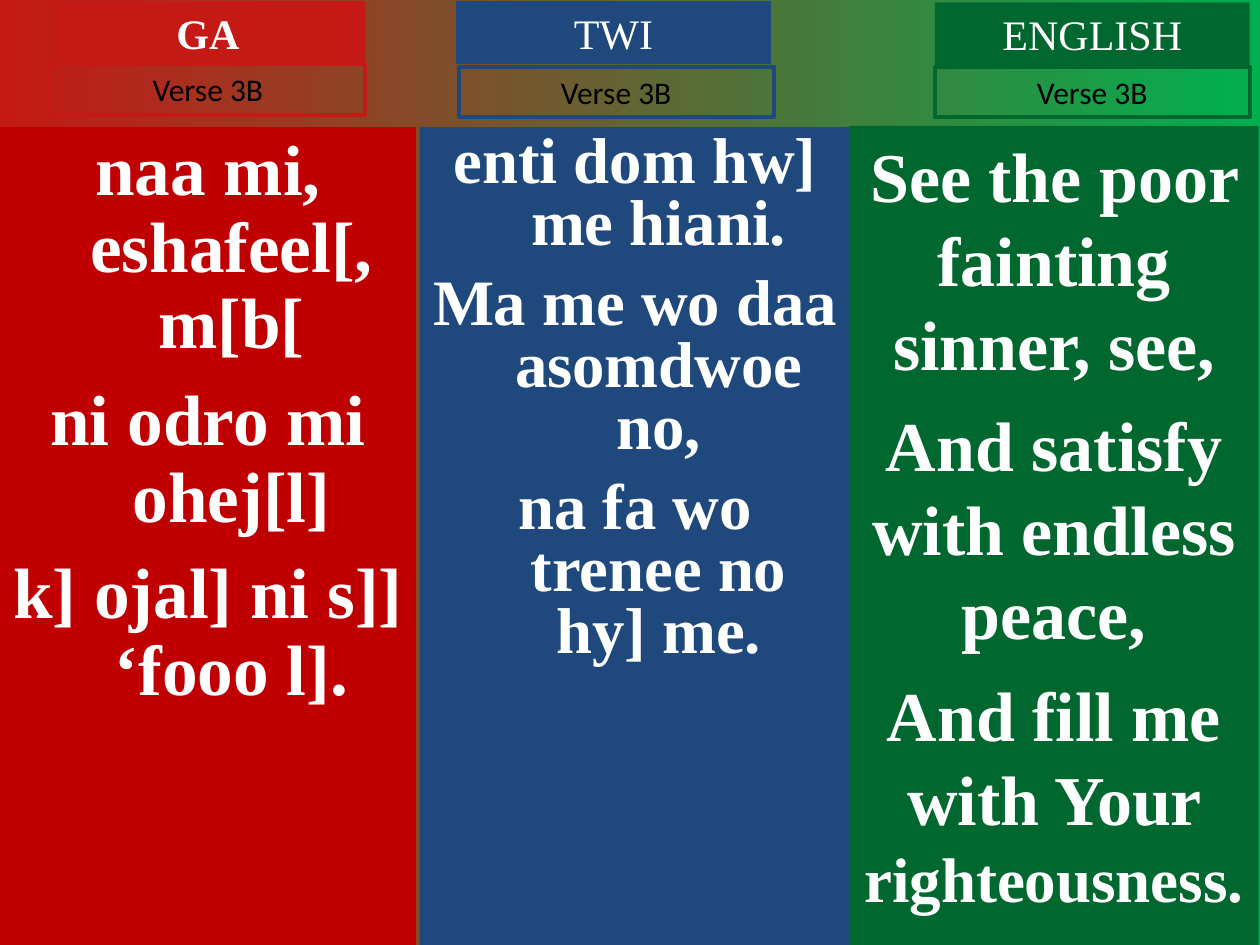
from pptx import Presentation
from pptx import util as u
from pptx.dml.color import RGBColor
from pptx.enum import shapes, text
from pptx.oxml.ns import qn
from lxml import etree

Pt = u.Pt
HUES = {"red": "C51915", "deep": "C00000", "blue": "1F497D", "green": "00682F",
        "lime": "00B050", "white": "FFFFFF", "black": "000000"}
SERIF, SANS = "Times New Roman", "Calibri"
VERSE = "Verse 3B"

# Each verse is a list of lines; each line is a list of (words, size).
COLS = [
    dict(name="GA", hue="red", back="deep", bold=True,
         head=(28.8, 0.7), tag=(28.8, 36.7), box=(0, 72.7, 237.6, 467.3),
         lead=0.9, gap=11, hang=27,
         verse=[[("naa mi, eshafeel[, m[b[", 40.7)],
                [("ni odro mi ohej[l]", 40.7)],
                [("k] ojal] ni s]] ‘fooo l].", 40.7)]]),
    dict(name="TWI", hue="blue", back="blue", bold=False,
         head=(260.6, 0.7), tag=(262.1, 38.2), box=(239.8, 72.7, 246.2, 467.3),
         lead=0.8, gap=10, hang=27,
         verse=[[("enti dom hw] me hiani.", 37)],
                [("Ma me wo daa asomdwoe no,", 37)],
                [("na fa wo trenee no hy] me.", 37)]]),
    dict(name="ENGLISH", hue="green", back="green", bold=False,
         head=(534.2, 1.4), tag=(534.2, 38.2), box=(485.3, 72, 234, 468),
         lead=1, gap=10, hang=0,
         verse=[[("See the poor fainting sinner, see,", 40)],
                [("And satisfy with endless peace,", 40)],
                [("And fill me with Your ", 40), ("righteousness.", 36)]]),
]
WIDE, HEAD, TAG = 180, 36, 28.8


def rgb(hue):
    return RGBColor.from_string(HUES[hue])


def write(shape, lines, font=SERIF, hue="white", bold=False, lead=1, gap=0,
          hang=0, anchor=text.MSO_ANCHOR.MIDDLE):
    frame = shape.text_frame
    frame.word_wrap = True
    frame.auto_size = text.MSO_AUTO_SIZE.NONE
    frame.vertical_anchor = anchor
    frame.margin_left = frame.margin_right = Pt(7.2)
    frame.margin_top = frame.margin_bottom = Pt(3.6)
    for i, line in enumerate(lines):
        para = frame.add_paragraph() if i else frame.paragraphs[0]
        props = para._p.get_or_add_pPr()
        props.set("marL", str(Pt(hang)))
        props.set("indent", str(-Pt(hang)))
        etree.SubElement(props, qn("a:buNone"))
        para.alignment = text.PP_ALIGN.CENTER
        para.line_spacing = lead
        para.space_before = Pt(gap if i else 0)
        for words, size in line:
            run = para.add_run()
            run.text = words
            run.font.name, run.font.size = font, Pt(size)
            run.font.bold, run.font.color.rgb = bold, rgb(hue)


def place(shape, left, top, wide, high):
    shape.left, shape.top = Pt(left), Pt(top)
    shape.width, shape.height = Pt(wide), Pt(high)


def panel(slide, area, fill=None, edge=None, holder=None):
    """Fill and place a placeholder, or a new rectangle if there is none."""
    shape = holder
    if shape is None:
        shape = slide.shapes.add_shape(shapes.MSO_SHAPE.RECTANGLE, 0, 0, 0, 0)
        shape.shadow.inherit = False
    place(shape, *area)
    if fill:
        shape.fill.solid()
        shape.fill.fore_color.rgb = rgb(fill)
    else:
        shape.fill.background()
    if edge:
        shape.line.color.rgb, shape.line.width = rgb(edge), Pt(2.25)
    else:
        shape.line.fill.background()
    return shape


def main():
    deck = Presentation()
    deck.slide_width, deck.slide_height = Pt(720), Pt(540)
    slide = deck.slides.add_slide(deck.slide_layouts[3])
    back = slide.background.fill
    back.gradient()
    back.gradient_angle = 0
    for stop, hue, pos in zip(back.gradient_stops, ("red", "lime"), (0, 1)):
        stop.color.rgb, stop.position = rgb(hue), pos

    title, *bodies = slide.placeholders
    for col, top, body in zip(COLS, (title, None, None), (*bodies, None)):
        box = panel(slide, col["box"], fill=col["back"], holder=body)
        write(box, col["verse"], bold=True, lead=col["lead"], gap=col["gap"],
              hang=col["hang"], anchor=text.MSO_ANCHOR.TOP)
        head = panel(slide, (*col["head"], WIDE, HEAD), fill=col["hue"], holder=top)
        write(head, [[(col["name"], 24)]], bold=col["bold"])
        tag = panel(slide, (*col["tag"], WIDE, TAG), edge=col["hue"])
        write(tag, [[(VERSE, 18)]], font=SANS, hue="black")
    deck.save("out.pptx")


if __name__ == "__main__":
    main()
